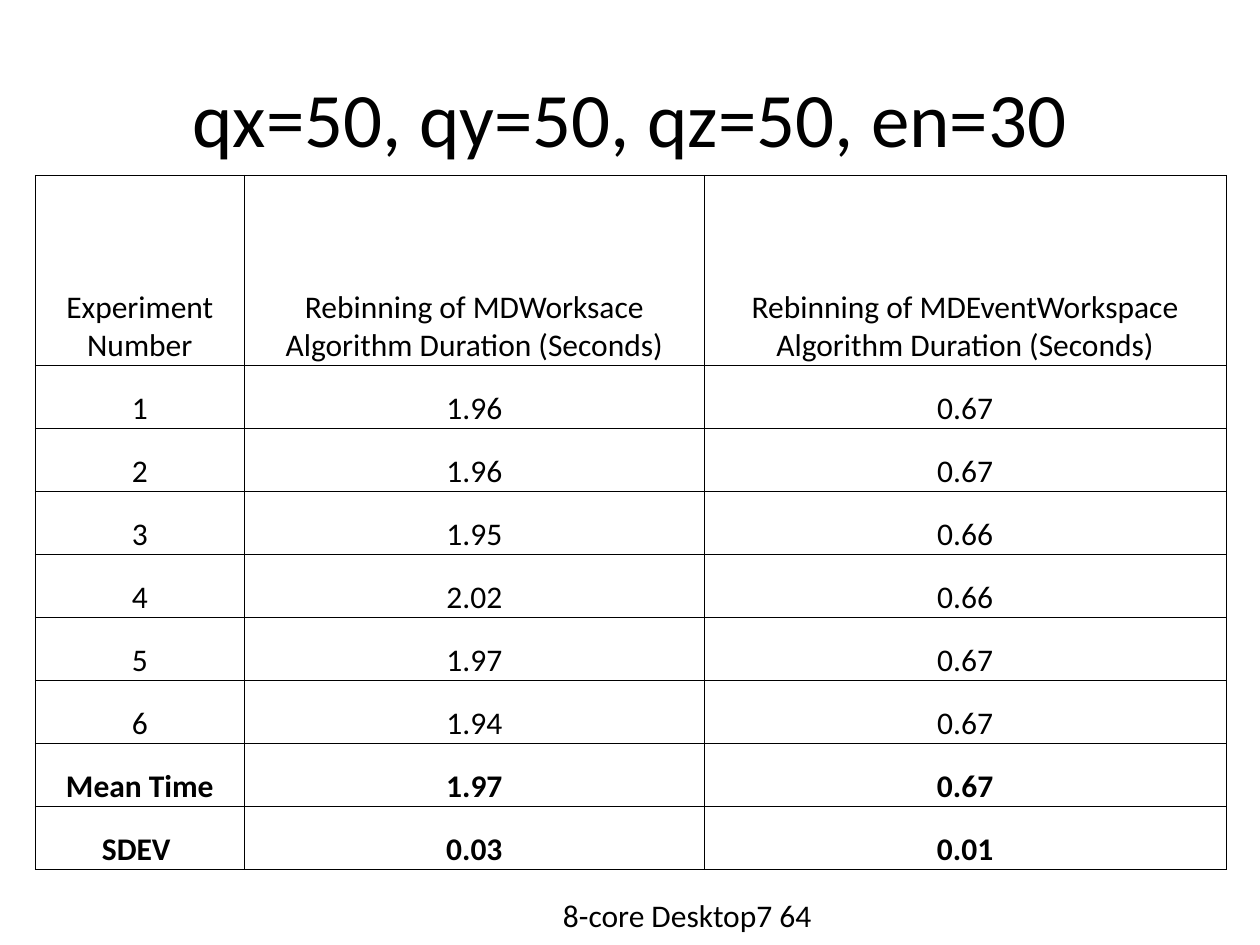
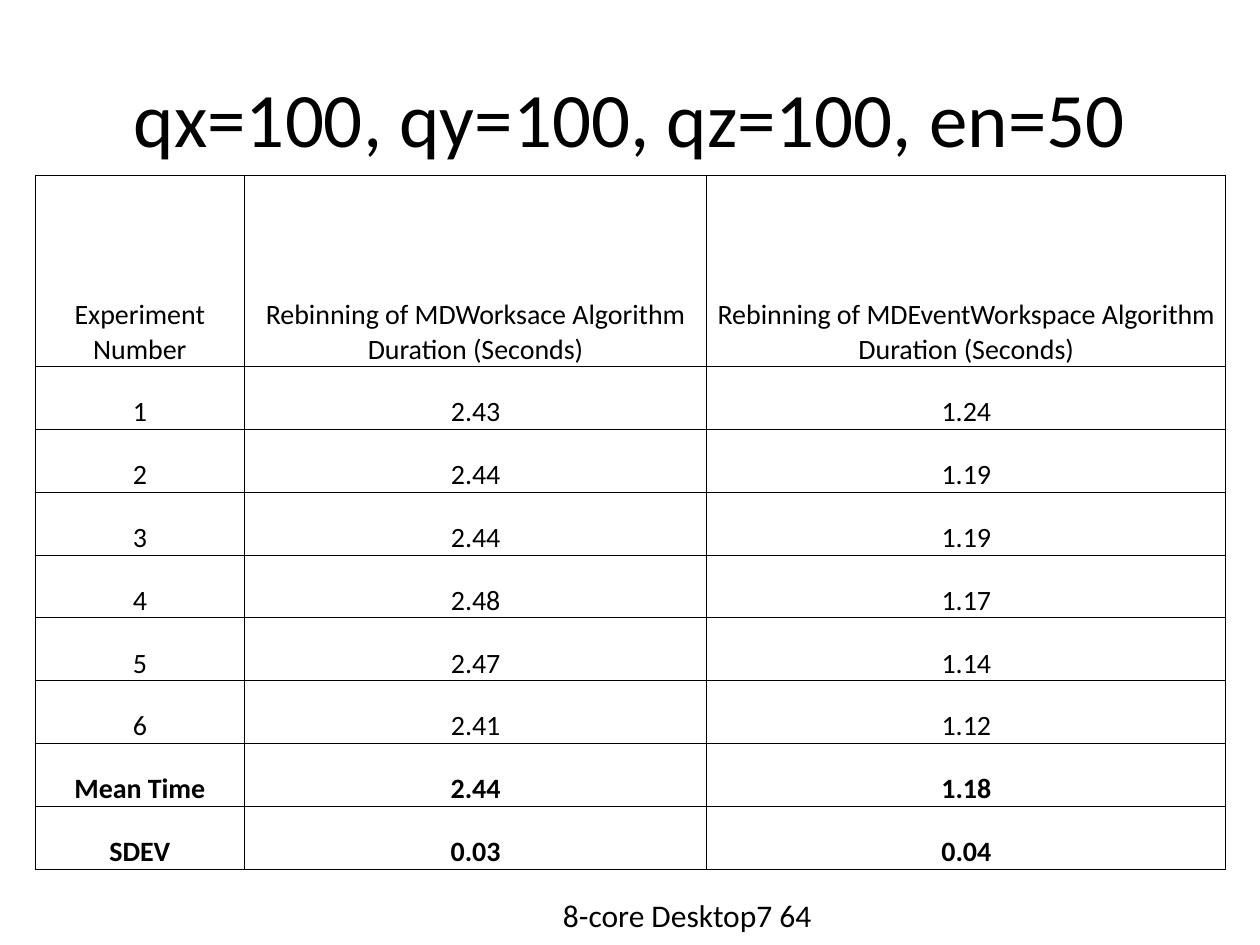
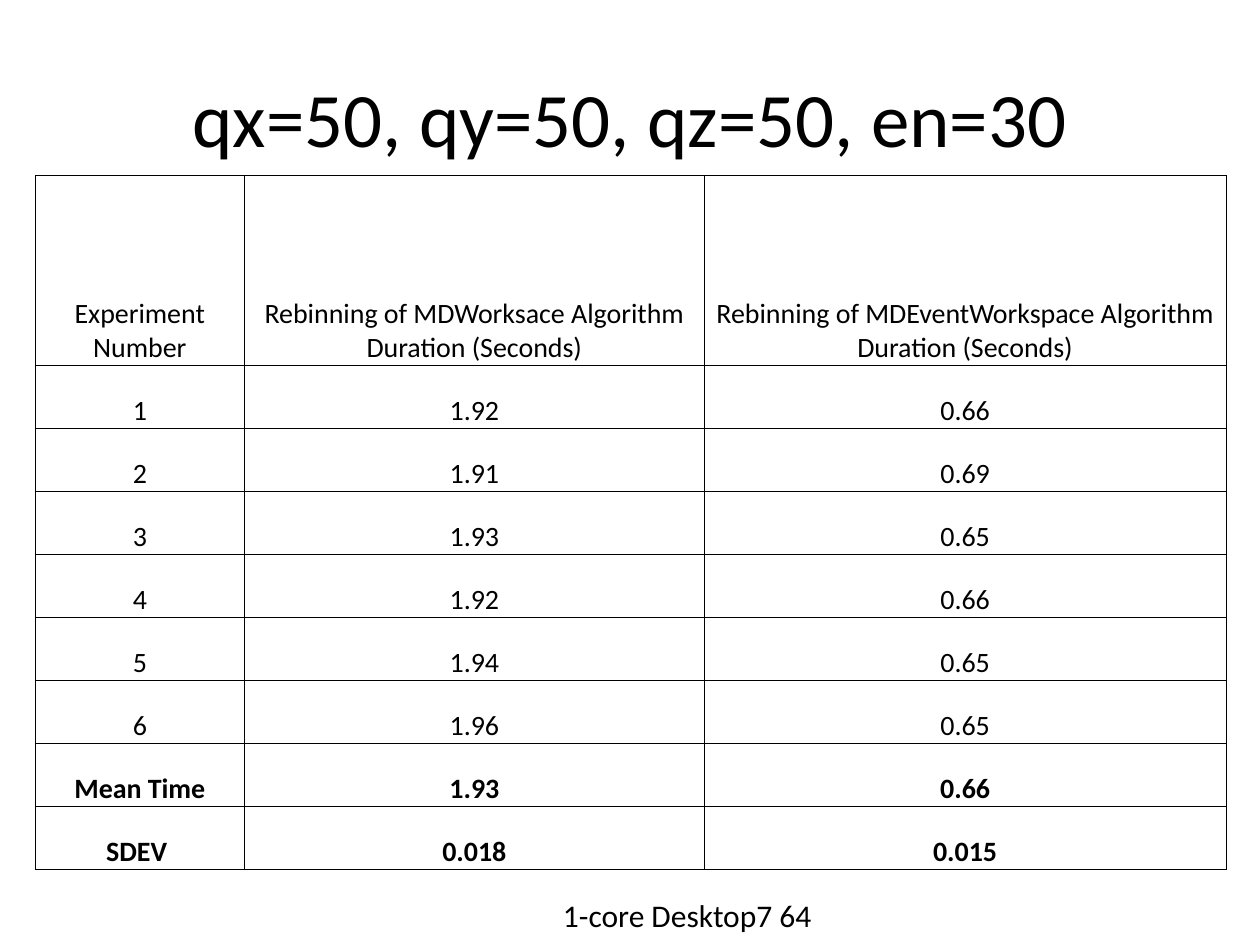
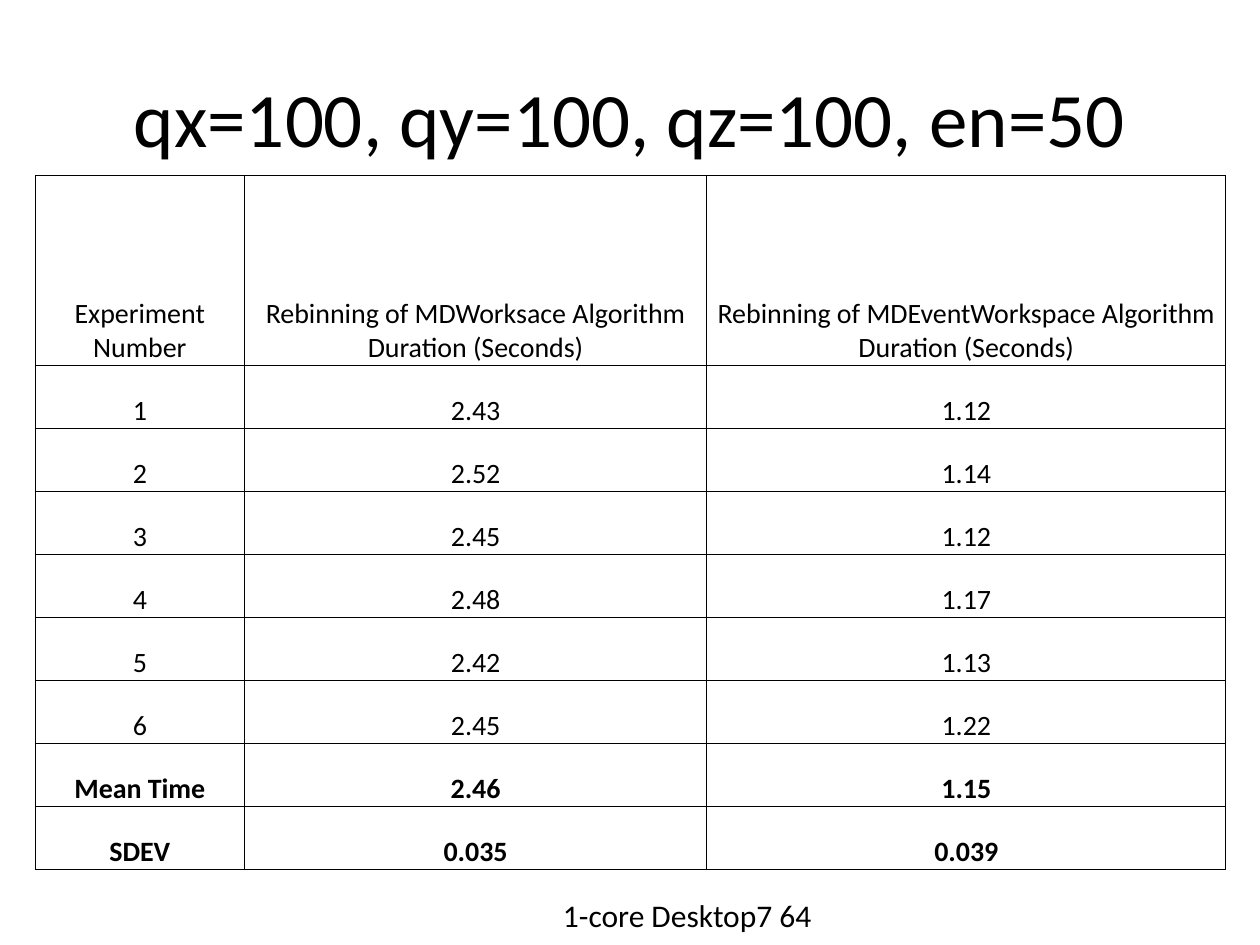
"""Build four slides of rebinning timings."""

from dataclasses import dataclass
from typing import NamedTuple

from lxml.etree import SubElement
from pptx import Presentation
from pptx.dml.color import RGBColor
from pptx.enum.text import MSO_ANCHOR, MSO_AUTO_SIZE, PP_ALIGN
from pptx.oxml.ns import qn
from pptx.presentation import Presentation as Deck
from pptx.slide import Slide
from pptx.table import _Cell as Cell
from pptx.text.text import TextFrame
from pptx.util import Inches, Length, Pt


@dataclass(frozen=True)
class Theme:
    font: str = "Calibri"
    ink: str = "000000"
    paper: str = "FFFFFF"
    title_size: int = 44
    body_size: int = 18
    compact_size: int = 16
    border: Length = Pt(0.5)
    cell_inset: Length = Inches(0.01)


class Box(NamedTuple):
    left: float
    top: float
    width: float
    height: float


@dataclass(frozen=True)
class Experiment:
    title: str
    machine: str
    size: int
    columns: tuple[float, ...]
    header_rows: float
    workspace: tuple[str, ...]
    event_workspace: tuple[str, ...]
    deviation_label: str = "SDEV"


THEME = Theme()
GRID_COLUMNS, GRID_ROWS = 100, 75
GRID_UNIT = Inches(0.1)
TITLE_BOX = Box(5, 3, 90, 12.5)
TABLE_BOX = Box(2.8, 13.9, 94.5, 55.1)
MACHINE_BOX = Box(43.7, 70.6, 54.3, 4)

SMALL_BINS = "qx=50, qy=50, qz=50, en=30"
LARGE_BINS = "qx=100, qy=100, qz=100, en=50"
SMALL_COLUMNS = (16.6, 36.5, 41.4)
LARGE_COLUMNS = (16.6, 36.7, 41.2)
EIGHT_CORE = "8-core Desktop7 64"
ONE_CORE = "1-core Desktop7 64"
HEADERS = (
    "Experiment Number",
    "Rebinning of MDWorksace Algorithm Duration (Seconds)",
    "Rebinning of MDEventWorkspace Algorithm Duration (Seconds)",
)
RUN_LABELS = ("1", "2", "3", "4", "5", "6")

EXPERIMENTS = (
    Experiment(
        SMALL_BINS, EIGHT_CORE, THEME.body_size, SMALL_COLUMNS, 15.1,
        ("1.96", "1.96", "1.95", "2.02", "1.97", "1.94", "1.97", "0.03"),
        ("0.67", "0.67", "0.66", "0.66", "0.67", "0.67", "0.67", "0.01"),
        "SDEV ",
    ),
    Experiment(
        LARGE_BINS, EIGHT_CORE, THEME.compact_size, LARGE_COLUMNS, 15.2,
        ("2.43", "2.44", "2.44", "2.48", "2.47", "2.41", "2.44", "0.03"),
        ("1.24", "1.19", "1.19", "1.17", "1.14", "1.12", "1.18", "0.04"),
    ),
    Experiment(
        SMALL_BINS, ONE_CORE, THEME.compact_size, SMALL_COLUMNS, 15.1,
        ("1.92", "1.91", "1.93", "1.92", "1.94", "1.96", "1.93", "0.018"),
        ("0.66", "0.69", "0.65", "0.66", "0.65", "0.65", "0.66", "0.015"),
        "SDEV ",
    ),
    Experiment(
        LARGE_BINS, ONE_CORE, THEME.compact_size, LARGE_COLUMNS, 15.1,
        ("2.43", "2.52", "2.45", "2.48", "2.42", "2.45", "2.46", "0.035"),
        ("1.12", "1.14", "1.12", "1.17", "1.13", "1.22", "1.15", "0.039"),
    ),
)


def grid(units: float) -> int:
    """Convert grid units to a length."""
    return round(units * GRID_UNIT)


def place(box: Box) -> tuple[int, ...]:
    """Convert a grid box to left, top, width and height."""
    return tuple(grid(units) for units in box)


def write_text(
    frame: TextFrame,
    text: str,
    *,
    size: int = THEME.body_size,
    bold: bool = False,
    align: PP_ALIGN = PP_ALIGN.CENTER,
) -> None:
    """Write one formatted paragraph."""
    frame.word_wrap = True
    paragraph = frame.paragraphs[0]
    paragraph.alignment = align
    run = paragraph.add_run()
    run.text = text
    run.font.name = THEME.font
    run.font.size = Pt(size)
    run.font.bold = bold
    run.font.color.rgb = RGBColor.from_string(THEME.ink)


def format_cell(cell: Cell) -> None:
    """Give a cell thin borders, no fill, and bottom-anchored text."""
    properties = cell._tc.get_or_add_tcPr()
    for side in ("lnL", "lnR", "lnT", "lnB"):
        line = SubElement(properties, qn(f"a:{side}"), w=str(THEME.border))
        fill = SubElement(line, qn("a:solidFill"))
        SubElement(fill, qn("a:srgbClr"), val=THEME.ink)
    cell.fill.background()
    cell.vertical_anchor = MSO_ANCHOR.BOTTOM
    cell.margin_left = cell.margin_right = cell.margin_top = THEME.cell_inset
    cell.margin_bottom = 0


def add_title(slide: Slide, text: str) -> None:
    """Place and fill the title placeholder."""
    title = slide.shapes.title
    title.left, title.top, title.width, title.height = place(TITLE_BOX)
    title.text_frame.vertical_anchor = MSO_ANCHOR.MIDDLE
    write_text(title.text_frame, text, size=THEME.title_size)


def add_timings(slide: Slide, experiment: Experiment) -> None:
    """Draw the timing table with its bold summary rows."""
    labels = (*RUN_LABELS, "Mean Time", experiment.deviation_label)
    records = (HEADERS, *zip(labels, experiment.workspace, experiment.event_workspace))
    table = slide.shapes.add_table(len(records), len(HEADERS), *place(TABLE_BOX)).table
    table.first_row = table.horz_banding = False
    for column, width in zip(table.columns, experiment.columns):
        column.width = grid(width)
    data_rows = (TABLE_BOX.height - experiment.header_rows) / len(labels)
    for index, (row, record) in enumerate(zip(table.rows, records)):
        row.height = grid(data_rows if index else experiment.header_rows)
        for cell, text in zip(row.cells, record):
            format_cell(cell)
            write_text(
                cell.text_frame, text, size=experiment.size, bold=index > len(RUN_LABELS)
            )


def add_machine(slide: Slide, text: str) -> None:
    """Name the test machine below the table."""
    frame = slide.shapes.add_textbox(*place(MACHINE_BOX)).text_frame
    write_text(frame, text, align=PP_ALIGN.LEFT)
    frame.auto_size = MSO_AUTO_SIZE.SHAPE_TO_FIT_TEXT


def add_experiment(presentation: Deck, experiment: Experiment) -> None:
    """Add the slide of one experiment."""
    slide = presentation.slides.add_slide(presentation.slide_layouts.get_by_name("Title Only"))
    slide.background.fill.solid()
    slide.background.fill.fore_color.rgb = RGBColor.from_string(THEME.paper)
    add_title(slide, experiment.title)
    add_timings(slide, experiment)
    add_machine(slide, experiment.machine)


def main() -> None:
    """Build and save the presentation."""
    presentation = Presentation()
    presentation.slide_width = grid(GRID_COLUMNS)
    presentation.slide_height = grid(GRID_ROWS)
    for experiment in EXPERIMENTS:
        add_experiment(presentation, experiment)
    presentation.save("out.pptx")


if __name__ == "__main__":
    main()
